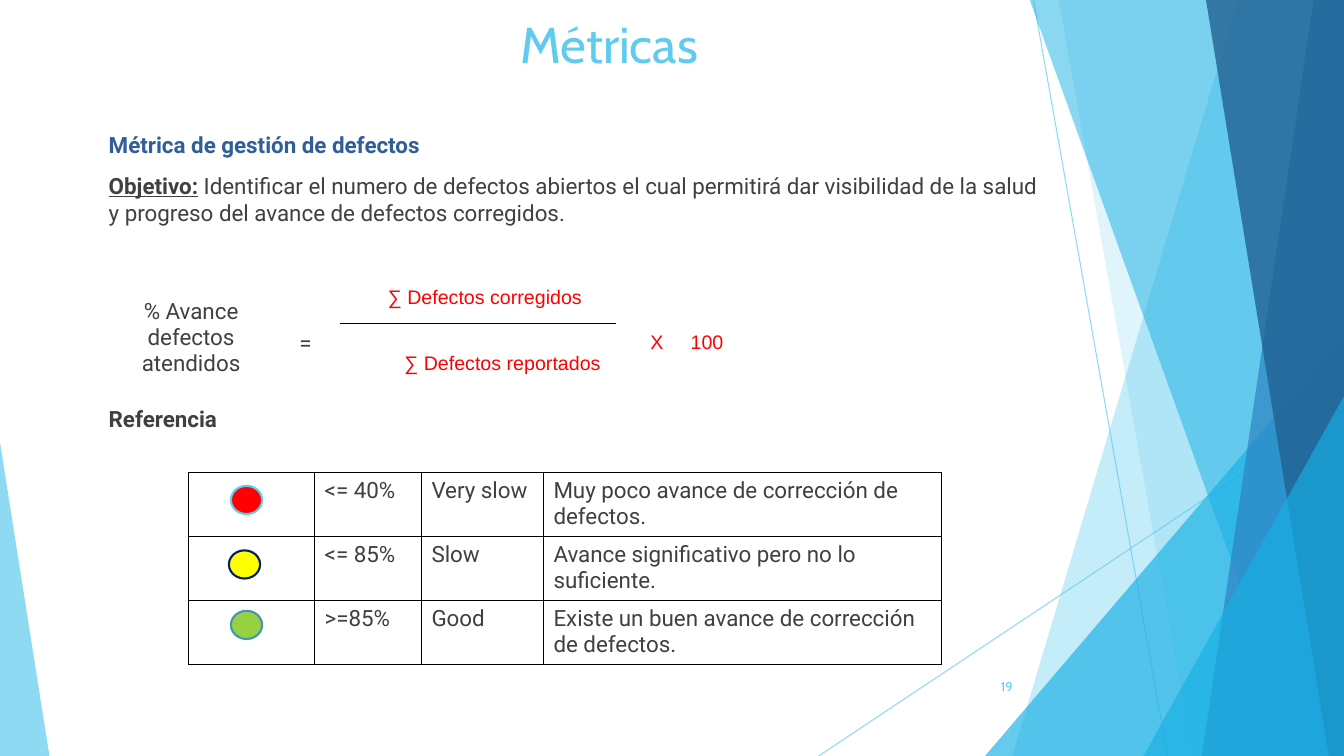
from dataclasses import dataclass

from lxml.etree import SubElement
from pptx import Presentation
from pptx.dml.color import RGBColor
from pptx.enum.shapes import MSO_CONNECTOR, MSO_SHAPE
from pptx.enum.text import MSO_ANCHOR as Anchor, MSO_AUTO_SIZE, PP_ALIGN as Align
from pptx.oxml.ns import qn
from pptx.util import Inches, Pt


@dataclass(frozen=True)
class Theme:
    sky: str = "5FCBEF"
    cyan: str = "17B0E4"
    blue: str = "2E83C3"
    navy: str = "226292"
    heading: str = "315D99"
    text: str = "404040"
    red: str = "FF0000"
    black: str = "000000"
    title_font: str = "Cabin"
    body_font: str = "Roboto"
    formula_font: str = "Arial"
    title_size: int = 36
    body_size: int = 16
    formula_size: int = 14
    number_size: int = 9


theme = Theme()


def write(para, text, size=theme.body_size, font=theme.body_font, color=theme.text,
          bold=False, underline=False, align=Align.LEFT):
    para.alignment = align
    span = para.add_run()
    span.text = text
    span.font.size = Pt(size)
    span.font.name = font
    span.font.bold = bold
    span.font.underline = underline
    span.font.color.rgb = RGBColor.from_string(color)


def paint(shape, color, opacity):
    """Fill a borderless shape with a see-through colour."""
    shape.shadow.inherit = False
    shape.line.fill.background()
    shape.fill.solid()
    shape.fill.fore_color.rgb = RGBColor.from_string(color)
    for node in shape._element.spPr.iter(qn("a:srgbClr")):
        SubElement(node, qn("a:alpha"), val=str(opacity * 1000))


deck = Presentation()
deck.slide_width, deck.slide_height = Inches(13.33), Inches(7.5)
page = deck.slides.add_slide(deck.slide_layouts[5])
shapes = page.shapes

# Background: thin lines, then bands and triangles from back to front
for x1, y1, x2, y2 in [(10.25, 0, 11.58, 7.5), (13.33, 4.03, 8.12, 7.5)]:
    line = shapes.add_connector(MSO_CONNECTOR.STRAIGHT, Inches(x1), Inches(y1), Inches(x2), Inches(y2))
    line.line.width = Pt(0.75)
    line.line.color.rgb = RGBColor.from_string(theme.sky)
    for node in line._element.spPr.iter(qn("a:srgbClr")):
        SubElement(node, qn("a:alpha"), val="70000")
    SubElement(line._element.spPr, qn("a:effectLst"))

# Bands reach the right edge: (top x, bottom x, colour, opacity)
# Triangles stand on the bottom edge: (left, top, width, apex, colour, opacity)
backdrop = [
    (12.28, 10.04, theme.sky, 36),
    (10.5, 11.83, theme.sky, 20),
    (9.77, 3.33, 3.56, 1, theme.cyan, 66),
    (10.21, 12.91, theme.cyan, 50),
    (13.03, 11.92, theme.blue, 70),
    (11.96, 13.18, theme.navy, 80),
    (11.34, 3.93, 1.99, 1, theme.cyan, 66),
    (0, 4.39, 0.49, 0, theme.sky, 70),
]
for *place, color, opacity in backdrop:
    if len(place) == 2:
        top_x, bottom_x = place
        outline = shapes.build_freeform(Inches(top_x), Inches(-0.01))
        corners = [(13.33, -0.01), (13.33, 7.5), (bottom_x, 7.5)]
        outline.add_line_segments([(Inches(x), Inches(y)) for x, y in corners])
        piece = outline.convert_to_shape()
    else:
        left, top, width, apex = place
        piece = shapes.add_shape(MSO_SHAPE.ISOSCELES_TRIANGLE, Inches(left), Inches(top),
                                 Inches(width), Inches(7.5 - top))
        piece.adjustments[0] = apex
    paint(piece, color, opacity)

# Title
title = shapes.title
title.left, title.top, title.width, title.height = Inches(1.34), Inches(0.08), Inches(9.4), Inches(1.44)
title.text_frame.auto_size = MSO_AUTO_SIZE.NONE
title.text_frame.vertical_anchor = Anchor.TOP
write(title.text_frame.paragraphs[0], "Métricas", size=theme.title_size, font=theme.title_font,
      color=theme.sky, align=Align.CENTER)

# Body text; the gap before the last paragraph leaves room for the formula
body = shapes.add_textbox(Inches(0.98), Inches(1.25), Inches(9.52), Inches(4.68)).text_frame
body.word_wrap = True
write(body.paragraphs[0], "Métrica de gestión de defectos", color=theme.heading, bold=True)
goal = body.add_paragraph()
goal.space_before = Pt(10)
write(goal, "Objetivo:", bold=True, underline=True)
write(goal, " Identificar el numero de defectos abiertos el cual permitirá dar visibilidad "
            "de la salud y progreso del avance de defectos corregidos.")
reference = body.add_paragraph()
reference.space_before = Pt(128)
write(reference, "Referencia", bold=True)

# Page number
number = shapes.add_textbox(Inches(9.39), Inches(6.61), Inches(0.75), Inches(0.4)).text_frame
number.vertical_anchor = Anchor.MIDDLE
number.word_wrap = True
write(number.paragraphs[0], "19", size=theme.number_size, font=theme.title_font,
      color=theme.sky, align=Align.RIGHT)

# Tables: the formula and the reference scale
formula = shapes.add_table(2, 4, Inches(1.17), Inches(2.69), Inches(7.71), Inches(1.29)).table
scale = shapes.add_table(3, 4, Inches(1.87), Inches(4.69), Inches(7.47), Inches(1.86)).table
layouts = [
    (formula, [1.25, 0.96, 2.72, 2.78], [0.52, 0.77], {(0, 2): "B", (1, 2): "T"}),
    (scale, [1.25, 1.06, 1.21, 3.95], [0.62] * 3, {}),
]
for table, widths, heights, edges in layouts:
    table.first_row = table.horz_banding = False
    for column, width in zip(table.columns, widths):
        column.width = Inches(width)
    for r, height in enumerate(heights):
        table.rows[r].height = Inches(height)
        for c in range(len(widths)):
            cell = table.cell(r, c)
            for side in edges.get((r, c), "") if edges else "LRTB":
                border = SubElement(cell._tc.get_or_add_tcPr(), qn(f"a:ln{side}"), w=str(Pt(1)))
                SubElement(SubElement(border, qn("a:solidFill")), qn("a:srgbClr"), val=theme.black)
            cell.fill.background()

for c in (0, 1, 3):
    formula.cell(0, c).merge(formula.cell(1, c))
red_text = dict(size=theme.formula_size, font=theme.formula_font, color=theme.red)
terms = [
    (0, 0, "% Avance defectos atendidos", 0.2, 0, 1, dict(align=Align.CENTER)),
    (0, 1, "=", 0.55, 0.06, 1.5, {}),
    (0, 2, "∑ Defectos corregidos", 0.2, 0.06, 1, dict(align=Align.CENTER, **red_text)),
    (1, 2, "∑ Defectos reportados", 0.55, 0.06, 1, dict(align=Align.CENTER, **red_text)),
    (0, 3, "X\t100", 0.35, 0.06, 1.5, red_text),
]
for r, c, text, left, right, spacing, style in terms:
    cell = formula.cell(r, c)
    cell.margin_left, cell.margin_right = Inches(left), Inches(right)
    cell.margin_top = cell.margin_bottom = 0
    cell.vertical_anchor = Anchor.MIDDLE
    para = cell.text_frame.paragraphs[0]
    para.line_spacing = spacing
    write(para, text, **style)
    if "\t" in text:
        tabs = SubElement(para._p.get_or_add_pPr(), qn("a:tabLst"))
        SubElement(tabs, qn("a:tab"), pos=str(Inches(0.4)), algn="l")

levels = [
    ("<= 40%", "Very slow", "Muy poco avance de corrección de defectos.", 2.29, 4.82, "FF0000", "5FCBEF"),
    ("<= 85%", "Slow", "Avance significativo pero no lo suficiente.", 2.27, 5.46, "FFFF00", "002060"),
    (">=85%", "Good", "Existe un buen avance de corrección de defectos.", 2.29, 6.06, "96D141", "4696B1"),
]
for r, (*texts, left, top, color, rim) in enumerate(levels):
    for c, text in enumerate(texts, start=1):
        write(scale.cell(r, c).text_frame.paragraphs[0], text)
    light = shapes.add_shape(MSO_SHAPE.OVAL, Inches(left), Inches(top), Inches(0.31), Inches(0.28))
    paint(light, color, 100)
    light.line.color.rgb = RGBColor.from_string(rim)
    light.line.width = Pt(1.5)

deck.save("out.pptx")
